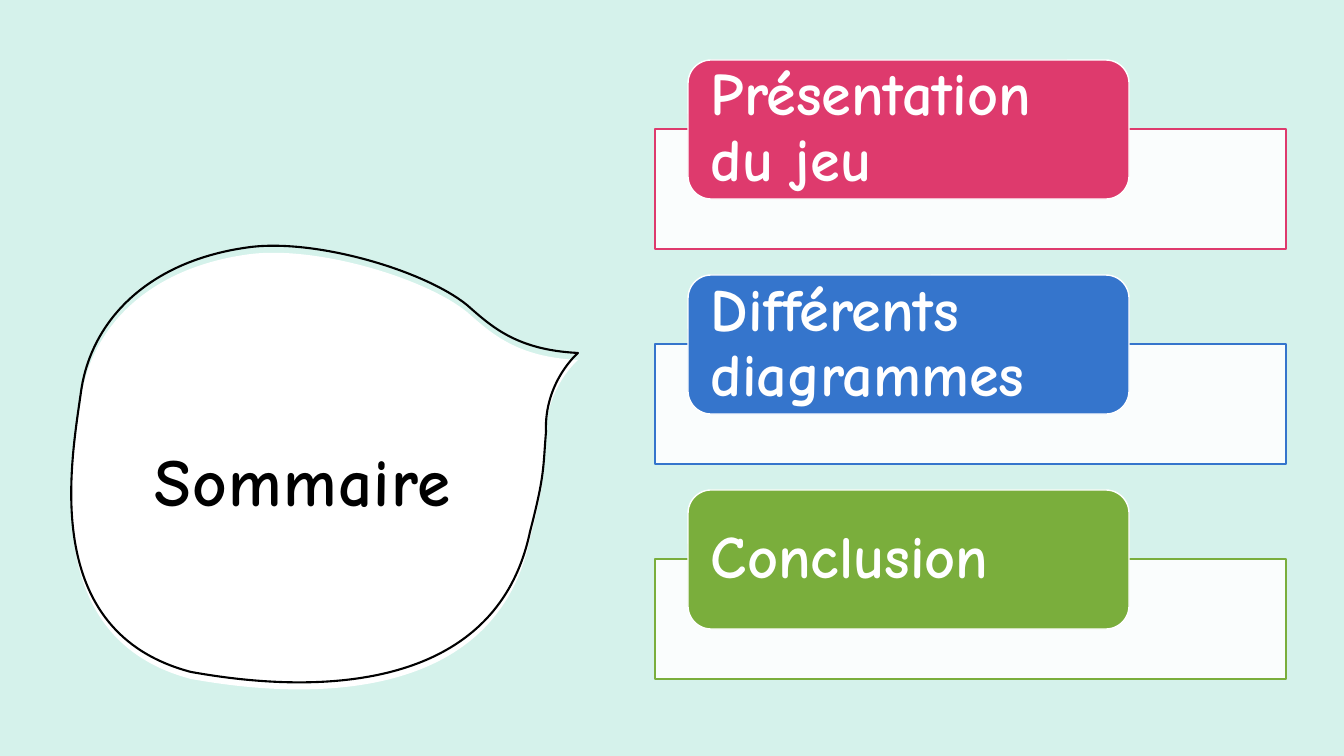
from dataclasses import dataclass
from math import cos, radians, sin

from lxml.etree import SubElement
from pptx import Presentation
from pptx.dml.color import RGBColor
from pptx.enum.shapes import MSO_SHAPE
from pptx.enum.text import MSO_ANCHOR, PP_ALIGN
from pptx.oxml.ns import qn
from pptx.util import Emu, Pt


@dataclass(frozen=True)
class Theme:
    mint: str = "D5F2EB"
    white: str = "FFFFFF"
    black: str = "000000"
    pink: str = "DE3A6D"
    blue: str = "3575CC"
    green: str = "7AAE3C"
    font: str = "Comic Neue"
    title_size: int = 48
    item_size: int = 43
    outline: float = 1.5
    border: int = 1


THEME = Theme()
PX_PER_INCH = 100.8
ROW_PITCH = 215
BUBBLE_BOX = (73, 250, 492, 436)
BUBBLE_TILT = 5.8
BUBBLE_SHIFT = 7
BUBBLE_TIP = (578, 353)
BUBBLE_CURVES = [
    [(516, 350), (491, 326), (467, 305)],
    [(425, 271), (318, 239), (251, 247)],
    [(149, 260), (91, 320), (81, 392)],
    [(71, 463), (39, 632), (191, 672)],
    [(248, 682), (490, 722), (530, 532)],
    [(545, 474), (543, 468), (546, 432)],
    [(544, 382), (578, 353), (578, 353)],
]


def px(length):
    return Emu(round(length * 914400 / PX_PER_INCH))


def paint(shape, fill=None, line=None, width=THEME.border, opacity=None):
    shape.shadow.inherit = False
    if fill:
        shape.fill.solid()
        shape.fill.fore_color.rgb = RGBColor.from_string(fill)
    else:
        shape.fill.background()
    if opacity:
        color = shape.fill._xPr.find(".//" + qn("a:srgbClr"))
        SubElement(color, qn("a:alpha"), val=str(opacity * 1000))
    if line:
        shape.line.color.rgb = RGBColor.from_string(line)
        shape.line.width = Pt(width)
    else:
        shape.line.fill.background()


def add_box(slide, kind, box, **look):
    paint(slide.shapes.add_shape(kind, *map(px, box)), **look)


def add_text(slide, text, box, size, color, align=PP_ALIGN.LEFT,
             line_spacing=None, spacing=0, insets=(10, 5)):
    frame = slide.shapes.add_textbox(*map(px, box)).text_frame
    frame.word_wrap = True
    frame.vertical_anchor = MSO_ANCHOR.MIDDLE
    frame.margin_left = frame.margin_right = px(insets[0])
    frame.margin_top = frame.margin_bottom = px(insets[1])
    paragraph = frame.paragraphs[0]
    paragraph.alignment = align
    if line_spacing:
        paragraph.line_spacing = line_spacing
    run = paragraph.add_run()
    run.text = text
    run.font.name = THEME.font
    run.font.size = Pt(size)
    run.font.bold = True
    run.font.color.rgb = RGBColor.from_string(color)
    if spacing:
        run.font._element.set("spc", str(spacing * 100))


def bubble_point(point):
    left, top, width, height = BUBBLE_BOX
    dx = point[0] - left - width / 2
    dy = point[1] - top - height / 2
    tilt = radians(BUBBLE_TILT)
    return (px(dx * cos(tilt) + dy * sin(tilt) + width / 2),
            px(dy * cos(tilt) - dx * sin(tilt) + height / 2))


def add_bubble(slide, shift=0, **look):
    left, top, width, height = BUBBLE_BOX
    tip = bubble_point(BUBBLE_TIP)
    builder = slide.shapes.build_freeform(*tip)
    builder.add_line_segments([bubble_point(curve[-1]) for curve in BUBBLE_CURVES])
    bubble = builder.convert_to_shape()
    bubble.left, bubble.top = px(left), px(top + shift)
    bubble.width, bubble.height = px(width), px(height)
    bubble.rotation = BUBBLE_TILT

    outline = bubble._element.find(".//" + qn("a:path"))
    for segment in list(outline):
        outline.remove(segment)
    outline.set("w", str(px(width)))
    outline.set("h", str(px(height)))
    segments = [("a:moveTo", [BUBBLE_TIP])]
    segments += [("a:cubicBezTo", curve) for curve in BUBBLE_CURVES]
    for tag, points in segments:
        segment = SubElement(outline, qn(tag))
        for x, y in map(bubble_point, points):
            SubElement(segment, qn("a:pt"), x=str(x), y=str(y))
    SubElement(outline, qn("a:close"))
    paint(bubble, **look)


def add_agenda_item(slide, row, text, accent):
    drop = row * ROW_PITCH
    add_box(slide, MSO_SHAPE.RECTANGLE, (655, 129 + drop, 631, 120),
            fill=THEME.white, line=accent, opacity=90)
    add_box(slide, MSO_SHAPE.ROUNDED_RECTANGLE, (688, 60 + drop, 441, 139),
            fill=accent, line=THEME.white)
    add_text(slide, text, (694, 66 + drop, 428, 126), THEME.item_size,
             THEME.white, line_spacing=0.9, insets=(17, 0))


def main():
    deck = Presentation()
    deck.slide_width, deck.slide_height = px(1344), px(756)
    slide = deck.slides.add_slide(deck.slide_layouts[6])
    slide.background.fill.solid()
    slide.background.fill.fore_color.rgb = RGBColor.from_string(THEME.mint)

    add_bubble(slide, shift=BUBBLE_SHIFT, fill=THEME.white)
    add_bubble(slide, line=THEME.black, width=THEME.outline)
    add_text(slide, "Sommaire", (115, 330, 376, 299), THEME.title_size,
             THEME.black, align=PP_ALIGN.CENTER, spacing=1)

    agenda = [
        ("Présentation du jeu", THEME.pink),
        ("Différents diagrammes", THEME.blue),
        ("Conclusion", THEME.green),
    ]
    for row, (text, accent) in enumerate(agenda):
        add_agenda_item(slide, row, text, accent)
    deck.save("out.pptx")


if __name__ == "__main__":
    main()
